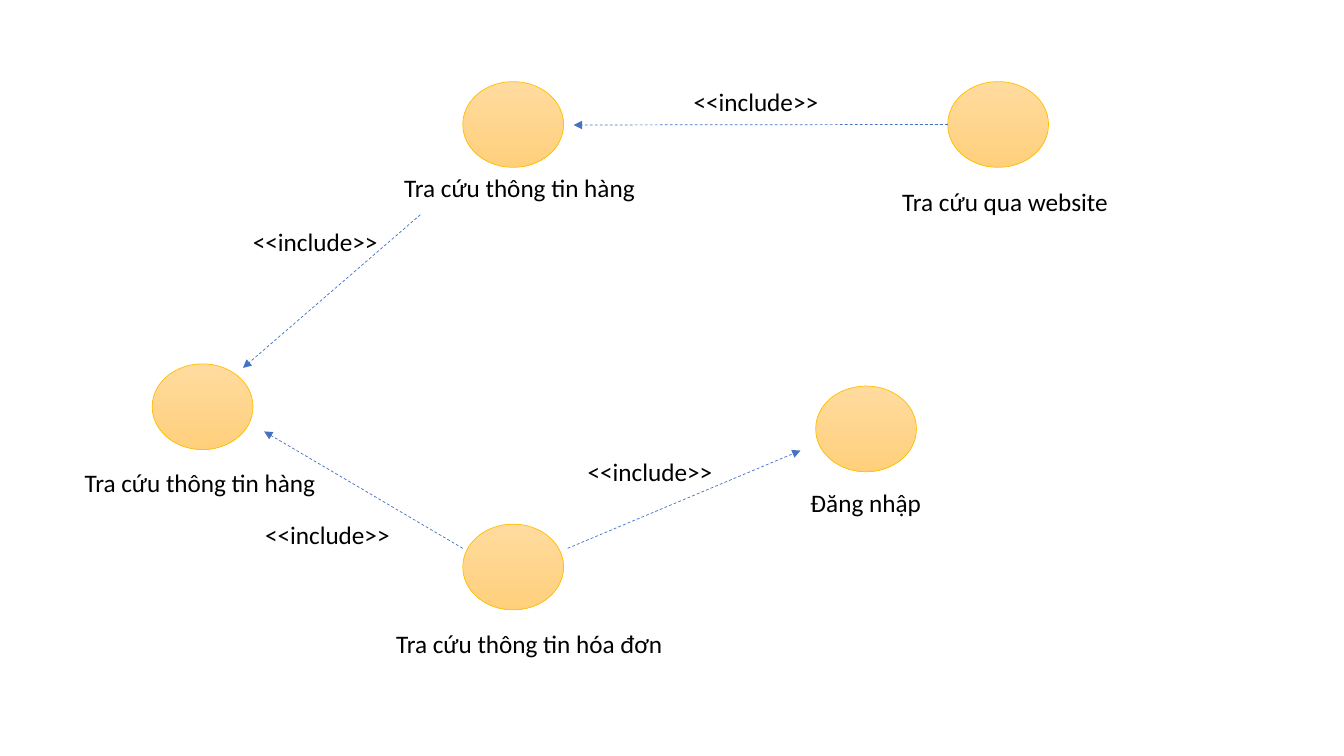
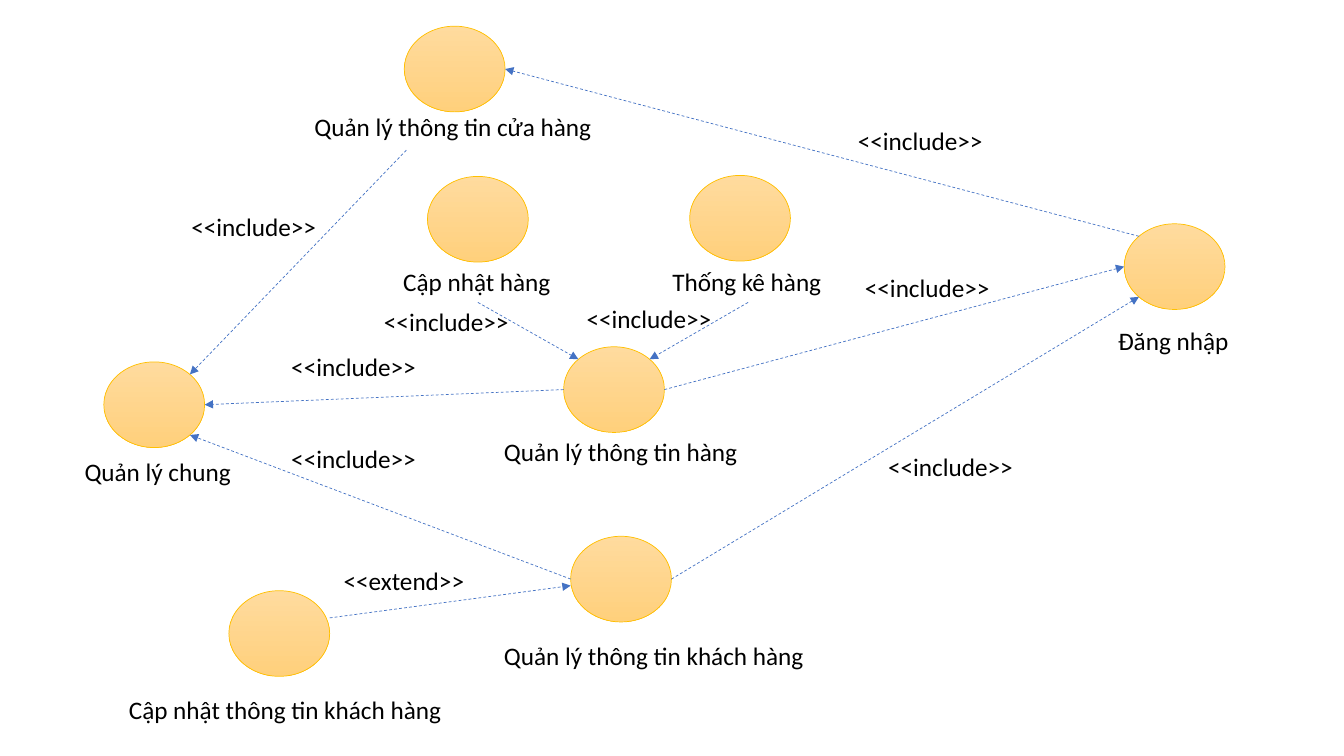
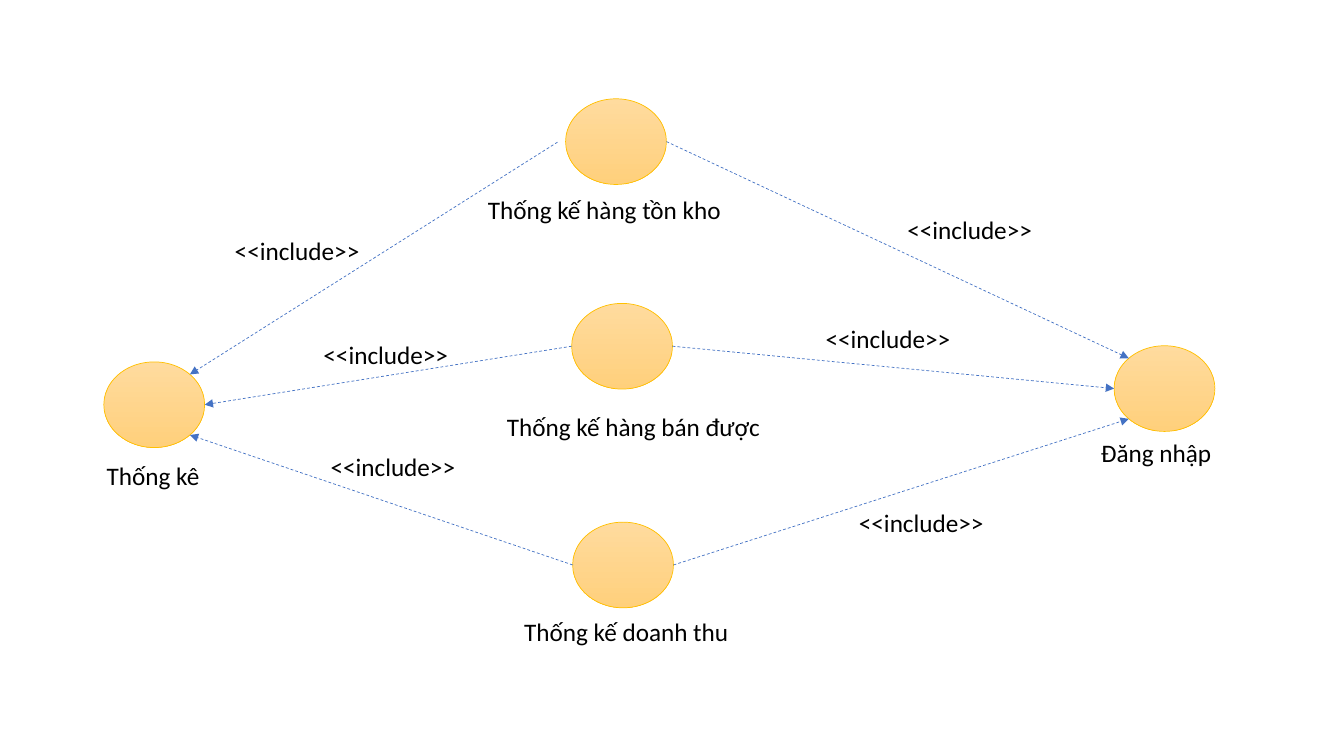
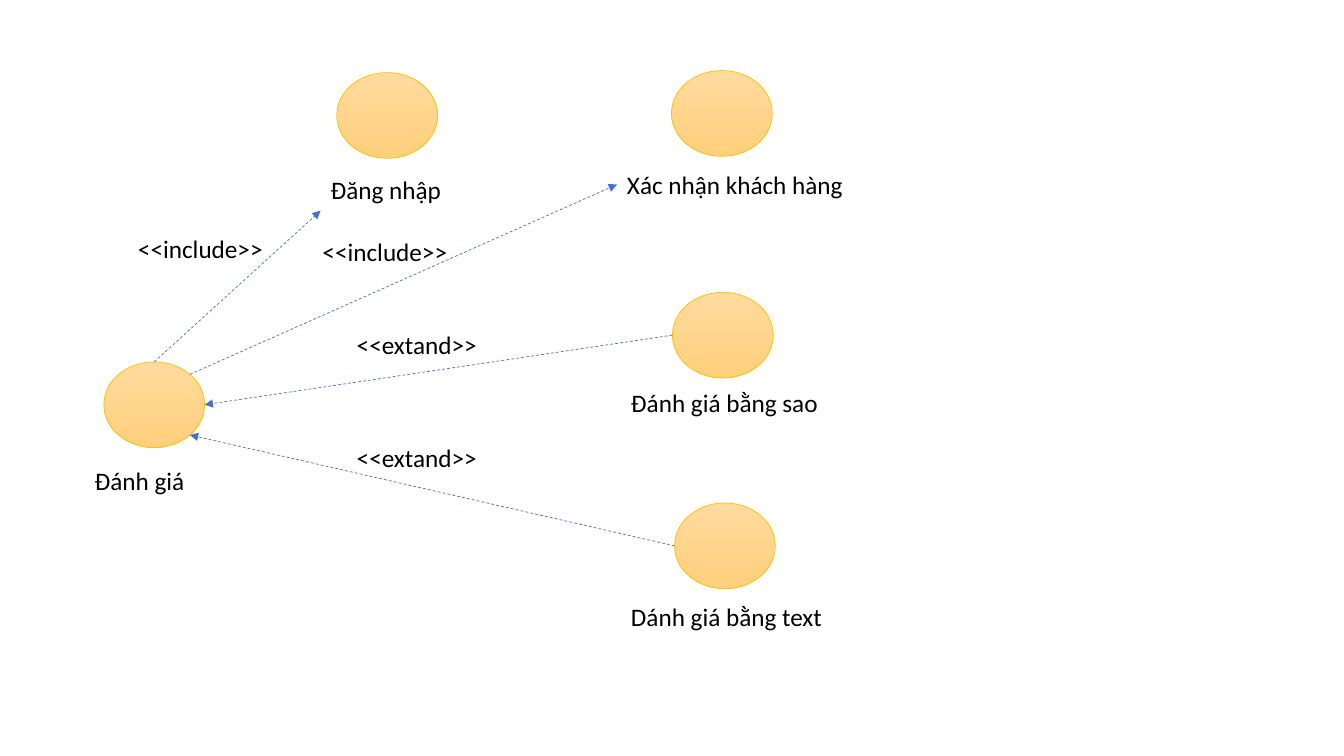
from dataclasses import dataclass

from lxml import etree
from pptx import Presentation
from pptx import util as u
from pptx.dml.color import RGBColor
from pptx.enum import dml, shapes, text
from pptx.oxml import ns

PX = 9144  # EMU in one px, 100 px to the inch
SLIDE_BOX = (0, 0, 1333, 750)


@dataclass(frozen=True)
class Theme:
    font: str = "Calibri"
    text_pt: float = 18
    line_pt: float = 0.5
    ink: str = "000000"
    oval_top: str = "FFDB9E"
    oval_bottom: str = "FFD07C"
    oval_edge: str = "FFC000"
    arrow: str = "4472C4"
    oval_w: int = 100
    oval_h: int = 85
    text_h: int = 40


THEME = Theme()

# Points on an oval, as fractions of its box; the diagonals lie at 45 degrees
DIAG = 0.5 ** 1.5
SITES = {
    "top": (0.5, 0),
    "left": (0, 0.5),
    "right": (1, 0.5),
    "top left": (0.5 - DIAG, 0.5 - DIAG),
    "top right": (0.5 + DIAG, 0.5 - DIAG),
    "bottom left": (0.5 - DIAG, 0.5 + DIAG),
    "bottom right": (0.5 + DIAG, 0.5 + DIAG),
}

INCLUDE, EXTEND, EXTAND = "<<include>>", "<<extend>>", "<<extand>>"

# Use case: key -> (oval x, y), caption, (caption dx, dy from the oval, width)
# Flow: start, end, label, (label x, y, width); an end is (key, site) or (x, y)
LOOKUP = (
    {
        "website": ((940, 81), "Tra cứu qua website", (-55, 99, 227)),
        "lookup": ((151, 361), "Tra cứu thông tin hàng", (-77, 98, 252)),
        "login": ((809, 383), "Đăng nhập", (-15, 96, 131)),
        "invoice": ((459, 520), "Tra cứu thông tin hóa đơn", (-76, 98, 288)),
        "goods": ((459, 81), "Tra cứu thông tin hàng", (-68, 85, 252)),
    },
    [
        (("website", "left"), (569, 124), INCLUDE, (678, 81, 162)),
        ((417, 213), (241, 365), INCLUDE, (241, 220, 146)),
        ((563, 544), (794, 447), INCLUDE, (573, 448, 146)),
        ((459, 544), (262, 428), INCLUDE, (253, 510, 151)),
    ],
)

MANAGEMENT = (
    {
        "customers": ((566, 532), "Quản lý thông tin khách hàng", (-76, 98, 321)),
        "general": ((103, 359), "Quản lý chung", (-29, 89, 167)),
        "login": ((1115, 222), "Đăng nhập", (-16, 96, 131)),
        "goods stats": ((684, 174), "Thống kê hàng", (-27, 85, 170)),
        "store": ((401, 26), "Quản lý thông tin cửa hàng", (-99, 80, 299)),
        "goods": ((559, 344), "Quản lý thông tin hàng", (-69, 84, 255)),
        "goods update": ((424, 175), "Cập nhật hàng", (-34, 84, 168)),
        "customer update": ((227, 586), "Cập nhật thông tin khách hàng", (-109, 98, 334)),
    },
    [
        ((403, 149), ("general", "top right"), INCLUDE, (180, 205, 147)),
        (("customers", "left"), ("general", "bottom right"), INCLUDE, (279, 435, 147)),
        (("goods", "left"), ("general", "right"), INCLUDE, (279, 344, 147)),
        (("goods", "right"), ("login", "left"), INCLUDE, (848, 265, 170)),
        (("customers", "right"), ("login", "bottom left"), INCLUDE, (871, 443, 170)),
        ((474, 300), ("goods", "top left"), INCLUDE, (371, 299, 147)),
        ((742, 300), ("goods", "top right"), INCLUDE, (572, 296, 147)),
        (("login", "top left"), ("store", "right"), INCLUDE, (841, 119, 155)),
        ((327, 613), (566, 581), EXTEND, (331, 556, 147)),
    ],
)

STATISTICS = (
    {
        "login": ((1105, 343), "Đăng nhập", (-23, 86, 131)),
        "statistics": ((103, 359), "Thống kê", (-7, 93, 113)),
        "revenue": ((568, 518), "Thống kế doanh thu", (-58, 89, 225)),
        "stock": ((561, 98), "Thống kế hàng tồn kho", (-87, 90, 254)),
        "sold": ((567, 301), "Thống kế hàng bán được", (-74, 102, 274)),
    },
    [
        (("stock", "right"), ("login", "top left"), INCLUDE, (890, 208, 155)),
        (("sold", "right"), ("login", "left"), INCLUDE, (809, 316, 155)),
        (("revenue", "right"), ("login", "bottom left"), INCLUDE, (842, 498, 155)),
        ((553, 141), ("statistics", "top right"), INCLUDE, (223, 229, 147)),
        (("sold", "left"), ("statistics", "right"), INCLUDE, (311, 332, 147)),
        (("revenue", "left"), ("statistics", "bottom right"), INCLUDE, (318, 443, 147)),
    ],
)

REVIEW = (
    {
        "review": ((103, 359), "Đánh giá", (-19, 98, 110)),
        "login": ((334, 72), "Đăng nhập", (-16, 96, 131)),
        "by text": ((669, 499), "Dánh giá bằng text", (-53, 93, 212)),
        "by stars": ((667, 290), "Đánh giá bằng sao", (-51, 89, 208)),
        "customer": ((666, 70), "Xác nhận khách hàng", (-54, 93, 237)),
    },
    [
        (("review", "top"), (318, 209), INCLUDE, (127, 227, 155)),
        (("review", "top right"), (612, 183), INCLUDE, (310, 230, 155)),
        (("by stars", "left"), ("review", "right"), EXTAND, (344, 322, 147)),
        (("by text", "left"), ("review", "bottom right"), EXTAND, (344, 434, 147)),
    ],
)


def emu(*lengths):
    return [u.Emu(round(length * PX)) for length in lengths]


def rgb(colour):
    return RGBColor.from_string(colour)


def add_text(slide, box, words, wrap):
    """One line of text in a box that grows with it."""
    frame = slide.shapes.add_textbox(*emu(*box)).text_frame
    frame.word_wrap = wrap
    frame.auto_size = text.MSO_AUTO_SIZE.SHAPE_TO_FIT_TEXT
    run = frame.paragraphs[0].add_run()
    run.text = words
    run.font.name = THEME.font
    run.font.size = u.Pt(THEME.text_pt)
    run.font.color.rgb = rgb(THEME.ink)


def add_use_case(slide, box, caption, caption_place):
    """An oval filling the box, and its caption set off from the box's corner."""
    x, y, w, h = box
    oval = slide.shapes.add_shape(shapes.MSO_SHAPE.OVAL, *emu(x, y, w, h))
    oval.shadow.inherit = False
    oval.fill.gradient()
    oval.fill.gradient_angle = 270  # top to bottom
    for stop, colour in zip(oval.fill.gradient_stops, (THEME.oval_top, THEME.oval_bottom)):
        stop.color.rgb = rgb(colour)
    oval.line.color.rgb = rgb(THEME.oval_edge)
    oval.line.width = u.Pt(THEME.line_pt)

    dx, dy, caption_w = caption_place
    add_text(slide, (x + dx, y + dy, caption_w, THEME.text_h), caption, wrap=False)


def add_flow(slide, start, end):
    """A dashed arrow from start to end."""
    arrow = slide.shapes.add_connector(shapes.MSO_CONNECTOR.STRAIGHT, *emu(*start, *end))
    arrow.line.color.rgb = rgb(THEME.arrow)
    arrow.line.width = u.Pt(THEME.line_pt)
    arrow.line.dash_style = dml.MSO_LINE.DASH
    properties = arrow._element.spPr
    outline = properties.find(ns.qn("a:ln"))
    etree.SubElement(outline, ns.qn("a:tailEnd"), type="triangle")
    etree.SubElement(properties, ns.qn("a:effectLst"))


def add_diagram(slide, box, use_cases, flows):
    """A use case diagram laid out from the box's top left corner."""
    left, top = box[:2]
    ovals = {
        key: (left + x, top + y, THEME.oval_w, THEME.oval_h)
        for key, ((x, y), _, _) in use_cases.items()
    }

    def locate(end):
        if end[0] not in ovals:
            return left + end[0], top + end[1]
        x, y, w, h = ovals[end[0]]
        across, down = SITES[end[1]]
        return x + across * w, y + down * h

    # Use cases
    for key, (_, caption, caption_place) in use_cases.items():
        add_use_case(slide, ovals[key], caption, caption_place)

    # Arrows with their labels
    for start, end, label, (x, y, w) in flows:
        add_flow(slide, locate(start), locate(end))
        add_text(slide, (left + x, top + y, w, THEME.text_h), label, wrap=True)


def main():
    deck = Presentation()
    deck.slide_width, deck.slide_height = emu(*SLIDE_BOX[2:])
    blank = deck.slide_layouts[6]
    for use_cases, flows in (LOOKUP, MANAGEMENT, STATISTICS, REVIEW):
        add_diagram(deck.slides.add_slide(blank), SLIDE_BOX, use_cases, flows)
    deck.save("out.pptx")


if __name__ == "__main__":
    main()
